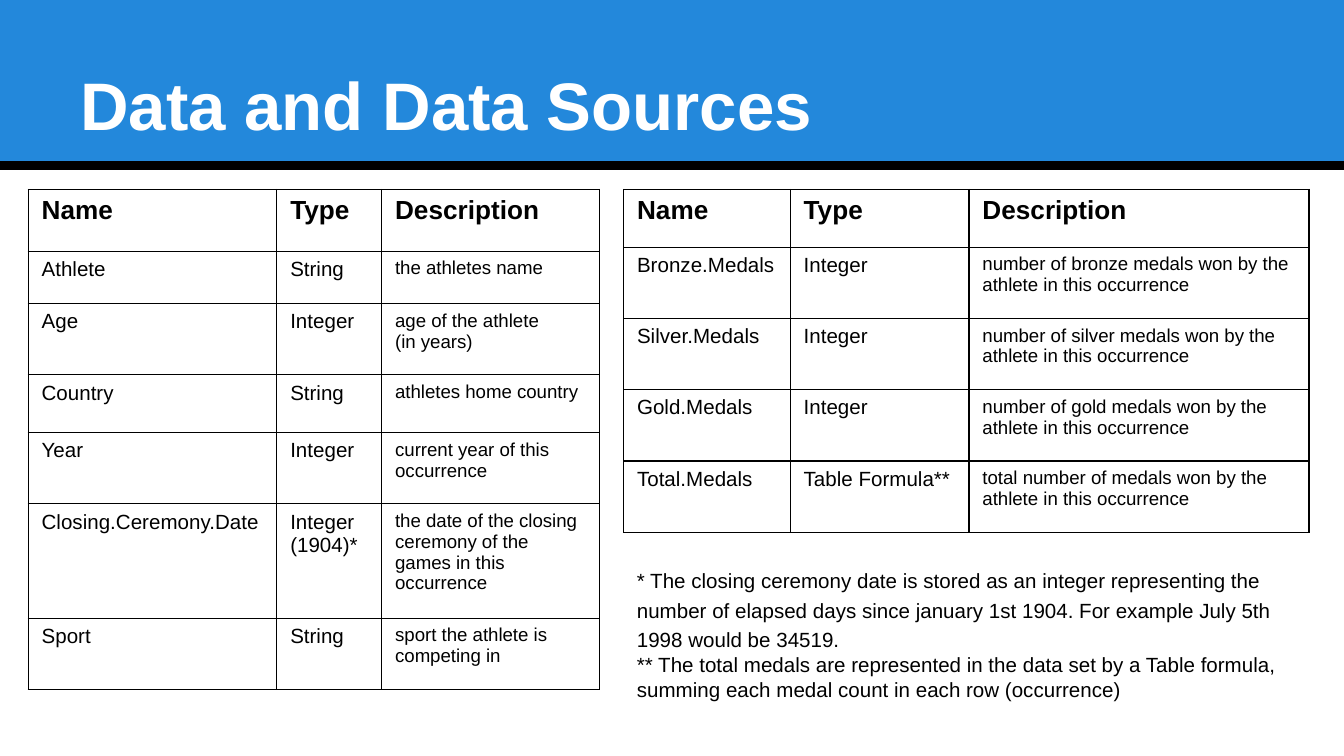
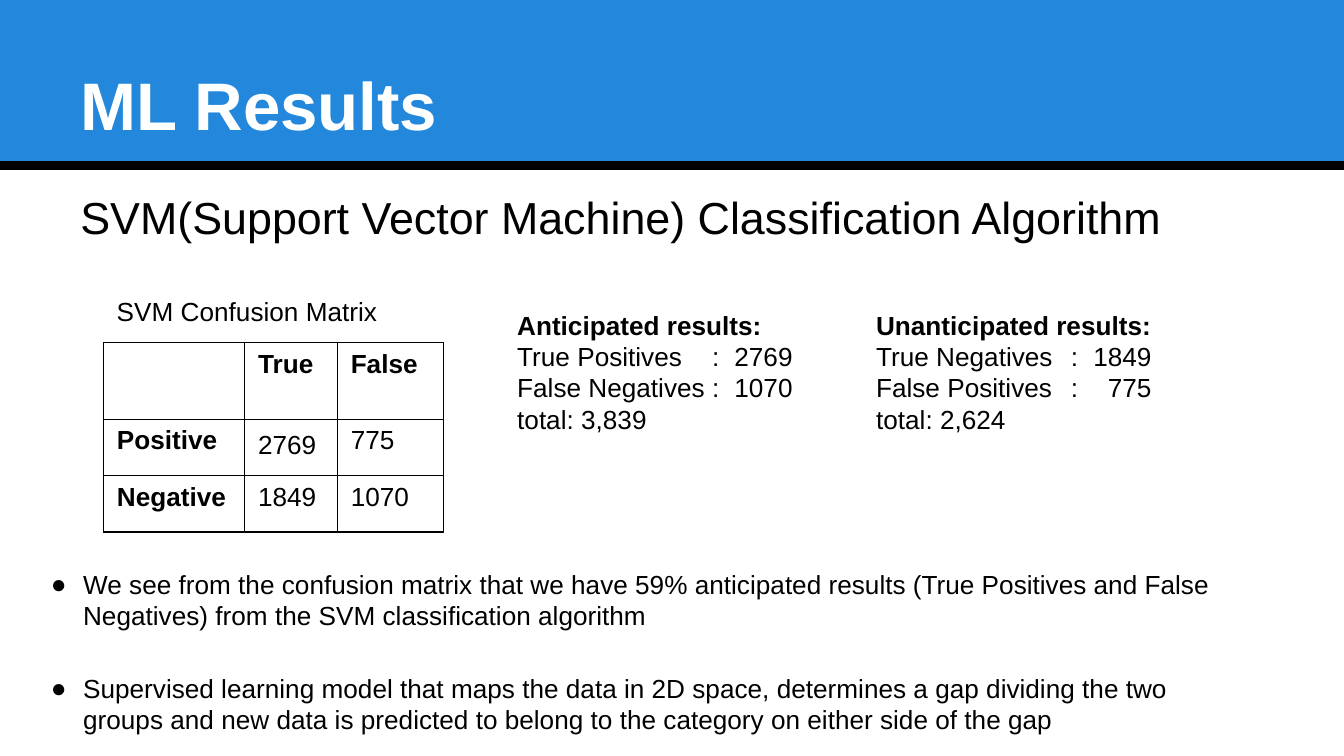
"""Build two slides on a data set and its classification results."""
from dataclasses import dataclass

from lxml import etree
from pptx import Presentation
from pptx.dml.color import RGBColor
from pptx.enum.shapes import MSO_CONNECTOR, MSO_SHAPE
from pptx.enum.text import MSO_ANCHOR
from pptx.oxml.ns import qn
from pptx.util import Inches, Pt

RECTANGLE = MSO_SHAPE.RECTANGLE
STRAIGHT = MSO_CONNECTOR.STRAIGHT
TOP, BOTTOM = MSO_ANCHOR.TOP, MSO_ANCHOR.BOTTOM


@dataclass(frozen=True)
class Theme:
    """Hold the shared colours, type sizes and measures."""
    font: str = "Arial"
    blue: RGBColor = RGBColor(0x23, 0x88, 0xDB)
    black: RGBColor = RGBColor(0, 0, 0)
    white: RGBColor = RGBColor(255, 255, 255)
    title: int = 36
    subtitle: int = 24
    body: int = 14
    small: int = 11
    tiny: int = 10
    rule: float = 4.51
    border: float = 0.75
    inset: float = 0.1
    cell_inset: float = 0.05


THEME = Theme()

HEADINGS = ("Name", "Type", "Description")
ATHLETE_FIELDS = [
    HEADINGS,
    ("Athlete", "String", "the athletes name"),
    ("Age", "Integer", "age of the athlete\n(in years)"),
    ("Country", "String", "athletes home country"),
    ("Year", "Integer", "current year of this occurrence"),
    ("Closing.Ceremony.Date", "Integer\n(1904)*",
     "the date of the closing ceremony of the games in this occurrence"),
    ("Sport", "String", "sport the athlete is competing in"),
]
MEDAL_FIELDS = [HEADINGS] + [
    (f"{medal}.Medals", "Integer",
     f"number of {medal.lower()} medals won by the athlete in this occurrence")
    for medal in ("Bronze", "Silver", "Gold")
] + [("Total.Medals", "Table Formula**",
      "total number of medals won by the athlete in this occurrence")]
FOOTNOTES = [
    "* The closing ceremony date is stored as an integer representing the number of "
    "elapsed days since january 1st 1904. For example July 5th 1998 would be 34519.",
    "** The total medals are represented in the data set by a Table formula, "
    "summing each medal count in each row (occurrence)",
]
CONFUSION_MATRIX = [
    ("", "True", "False"),
    ("Positive", "2769", "775"),
    ("Negative", "1849", "1070"),
]
FINDINGS = [
    "We see from the confusion matrix that we have 59% anticipated results (True "
    "Positives and False Negatives) from the SVM classification algorithm",
    "Supervised learning model that maps the data in 2D space, determines a gap "
    "dividing the two groups and new data is predicted to belong to the category on "
    "either side of the gap",
]


def format_paragraph(paragraph, size, color=THEME.black, bold=False):
    """Apply the theme font to every run."""
    for run in paragraph.runs:
        run.font.name = THEME.font
        run.font.size = Pt(size)
        run.font.bold = bold
        run.font.color.rgb = color


def add_text(slide, box, lines, size, color=THEME.black, bold=False, anchor=TOP):
    """Add a wrapped text box and return its paragraphs."""
    frame = slide.shapes.add_textbox(*map(Inches, box)).text_frame
    frame.word_wrap = True
    frame.vertical_anchor = anchor
    frame.margin_left = frame.margin_right = Inches(THEME.inset)
    frame.margin_top = frame.margin_bottom = Inches(THEME.inset)
    frame.text = "\n".join(lines)
    for paragraph in frame.paragraphs:
        format_paragraph(paragraph, size, color, bold)
    return frame.paragraphs


def add_titled_slide(presentation, title):
    """Add a blank slide with the blue band, black rule and title."""
    slide = presentation.slides.add_slide(presentation.slide_layouts[6])
    band = slide.shapes.add_shape(RECTANGLE, 0, 0, Inches(10), Inches(1.26))
    band.shadow.inherit = False
    band.fill.solid()
    band.fill.fore_color.rgb = THEME.blue
    band.line.fill.background()
    rule = slide.shapes.add_connector(
        STRAIGHT, 0, Inches(1.23), Inches(10), Inches(1.23))
    rule.line.color.rgb = THEME.black
    rule.line.width = Pt(THEME.rule)
    etree.SubElement(rule._element.spPr, qn("a:effectLst"))
    add_text(slide, (0.5, 0.23, 9, 0.94), [title], THEME.title, THEME.white,
             bold=True, anchor=BOTTOM)
    return slide


def draw_borders(cell):
    """Draw a thin black line on all four sides of a cell."""
    properties = cell._tc.get_or_add_tcPr()
    for index, side in enumerate(("lnL", "lnR", "lnT", "lnB")):
        line = etree.Element(qn(f"a:{side}"), w=str(Pt(THEME.border)))
        fill = etree.SubElement(line, qn("a:solidFill"))
        etree.SubElement(fill, qn("a:srgbClr"), val=str(THEME.black))
        properties.insert(index, line)


def add_grid(slide, left, top, widths, heights, rows, style):
    """Add a bordered table; style gives size and bold for each row and column."""
    table = slide.shapes.add_table(
        len(heights), len(widths), Inches(left), Inches(top),
        Inches(sum(widths)), Inches(sum(heights))).table
    table.first_row = table.horz_banding = False
    for column, width in zip(table.columns, widths):
        column.width = Inches(width)
    for row_index, (height, values) in enumerate(zip(heights, rows)):
        table.rows[row_index].height = Inches(height)
        for column_index, value in enumerate(values):
            cell = table.cell(row_index, column_index)
            cell.fill.background()
            cell.margin_left = cell.margin_right = Inches(THEME.inset)
            cell.margin_top = cell.margin_bottom = Inches(THEME.cell_inset)
            cell.text_frame.text = value
            size, bold = style(row_index, column_index)
            for paragraph in cell.text_frame.paragraphs:
                format_paragraph(paragraph, size, bold=bold)
            draw_borders(cell)
    return table


def field_style(row, column):
    """Return size and bold for a table of data fields."""
    if row == 0:
        return THEME.body, True
    return (THEME.tiny if column == 2 else THEME.small), False


def matrix_style(row, column):
    """Return size and bold for the confusion matrix."""
    return THEME.body, row == 0 or column == 0


def add_tab_stops(paragraph, stops):
    """Set tab stops from pairs of position and alignment."""
    tabs = etree.SubElement(paragraph._p.get_or_add_pPr(), qn("a:tabLst"))
    for position, alignment in stops:
        etree.SubElement(tabs, qn("a:tab"), pos=str(Inches(position)), algn=alignment)


def add_results(slide, box, heading, counts, total):
    """Add a bold heading, aligned counts and their total."""
    lines = [f"{name}\t:\t{count}" for name, count in counts]
    paragraphs = add_text(slide, box, [heading, *lines, f"total: {total}"], THEME.body)
    format_paragraph(paragraphs[0], THEME.body, bold=True)
    for paragraph in paragraphs[1:-1]:
        add_tab_stops(paragraph, ((1.45, "l"), (2.05, "r")))


def add_bullets(slide, box, lines, gap):
    """Add a list with hanging bullets and a gap between its items."""
    paragraphs = add_text(slide, box, lines, THEME.body)
    for index, paragraph in enumerate(paragraphs):
        paragraph.space_before = Pt(gap if index else 0)
        properties = paragraph._p.get_or_add_pPr()
        properties.set("marL", str(Inches(0.24)))
        properties.set("indent", str(-Inches(0.24)))
        etree.SubElement(properties, qn("a:buSzPts"), val=str(THEME.body * 100))
        etree.SubElement(properties, qn("a:buFont"), typeface=THEME.font)
        etree.SubElement(properties, qn("a:buChar"), char="●")


def build_data_slide(presentation):
    """Build the slide that describes the data fields."""
    slide = add_titled_slide(presentation, "Data and Data Sources")
    add_grid(slide, 0.21, 1.41, (1.85, 0.78, 1.62),
             (0.46, 0.39, 0.53, 0.43, 0.53, 0.85, 0.53), ATHLETE_FIELDS, field_style)
    add_grid(slide, 4.64, 1.41, (1.24, 1.33, 2.53),
             (0.43, *[0.53] * 4), MEDAL_FIELDS, field_style)
    notes = add_text(slide, (4.64, 4.09, 5.11, 1.29), FOOTNOTES, THEME.small)
    notes[0].line_spacing = 1.2


def build_results_slide(presentation):
    """Build the slide with the confusion matrix and findings."""
    slide = add_titled_slide(presentation, "ML Results")
    add_text(slide, (0.5, 1.31, 9, 4.07),
             ["SVM(Support Vector Machine) Classification Algorithm"], THEME.subtitle)
    matrix = add_grid(slide, 0.77, 2.55, (1.05, 0.69, 0.79), (0.57, 0.42, 0.42),
                      CONFUSION_MATRIX, matrix_style)
    matrix.cell(1, 1).text_frame.paragraphs[0].line_spacing = 1.15
    add_text(slide, (0.77, 2.1, 3.91, 0.4), ["SVM Confusion Matrix"], THEME.body)
    add_results(slide, (3.75, 2.2, 2.33, 1.2), "Anticipated results:",
                (("True Positives", 2769), ("False Negatives", 1070)), "3,839")
    add_bullets(slide, (0.28, 4.13, 8.85, 1.26), FINDINGS, gap=22)
    add_results(slide, (6.42, 2.2, 2.41, 1.33), "Unanticipated results:",
                (("True Negatives", 1849), ("False Positives", 775)), "2,624")


def main():
    """Build and save the presentation."""
    presentation = Presentation()
    presentation.slide_width = Inches(10)
    presentation.slide_height = Inches(10) * 9 // 16
    build_data_slide(presentation)
    build_results_slide(presentation)
    presentation.save("out.pptx")


main()
